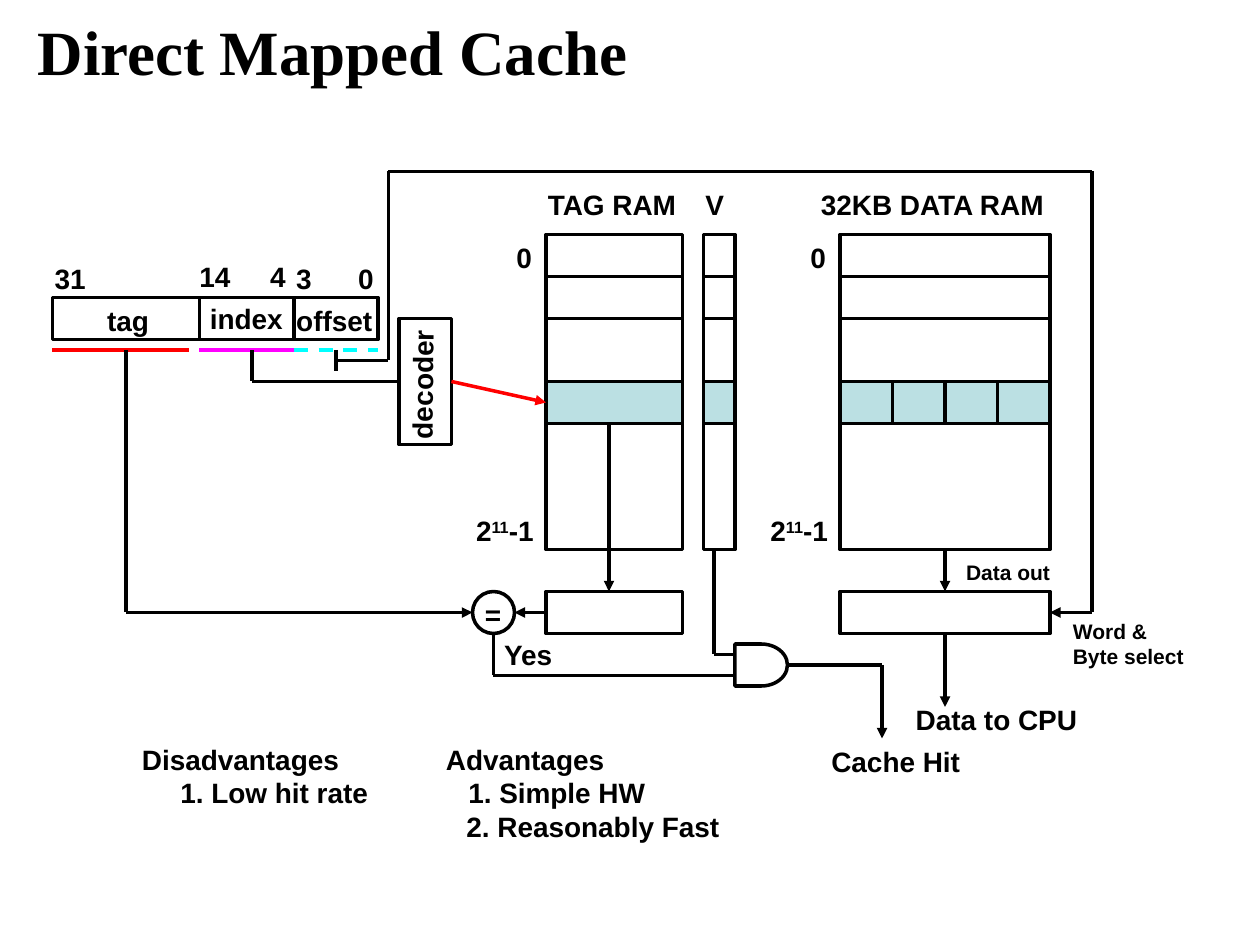
from pptx import Presentation
from pptx.dml.color import RGBColor
from pptx.enum.dml import MSO_LINE
from pptx.enum.shapes import MSO_CONNECTOR, MSO_SHAPE
from pptx.enum.text import MSO_ANCHOR
from pptx.oxml.ns import qn
from pptx.util import Pt
from lxml.etree import SubElement

COLORS = {
    "black": "000000",
    "selected": "BBE0E3",
    "tag": "FF0000",
    "index": "FF00FF",
    "offset": "00FFFF",
}
LINE_WIDTH = 2
TOP, LEFT, BOTTOM, RIGHT = range(4)


def color(name):
    return RGBColor.from_string(COLORS[name])


def add_line(start, end, line_color="black", arrow=False):
    line = slide.shapes.add_connector(
        MSO_CONNECTOR.STRAIGHT, *(Pt(value) for value in (*start, *end)))
    line.line.color.rgb = color(line_color)
    line.line.width = Pt(LINE_WIDTH)
    properties = line._element.spPr
    if arrow:
        SubElement(properties.find(qn("a:ln")), qn("a:tailEnd"), type="triangle")
    SubElement(properties, qn("a:effectLst"))
    return line


presentation = Presentation()
presentation.slide_width = Pt(720)
presentation.slide_height = Pt(540)
slide = presentation.slides.add_slide(presentation.slide_layouts[6])

# Memories, registers and logic: preset, left, top, width, height, fill
boxes = {
    "data ram": (MSO_SHAPE.RECTANGLE, 480, 134, 120, 180, None),
    "data row": (MSO_SHAPE.RECTANGLE, 480, 158, 120, 24, None),
    "data selected": (MSO_SHAPE.RECTANGLE, 480, 218, 120, 24, "selected"),
    "data register": (MSO_SHAPE.RECTANGLE, 480, 338, 120, 24, None),
    "tag ram": (MSO_SHAPE.RECTANGLE, 312, 134, 78, 180, None),
    "tag row": (MSO_SHAPE.RECTANGLE, 312, 158, 78, 24, None),
    "tag selected": (MSO_SHAPE.RECTANGLE, 312, 218, 78, 24, "selected"),
    "tag register": (MSO_SHAPE.RECTANGLE, 312, 338, 78, 24, None),
    "valid bits": (MSO_SHAPE.RECTANGLE, 402, 134, 18, 180, None),
    "valid selected": (MSO_SHAPE.RECTANGLE, 402, 218, 18, 24, "selected"),
    "address": (MSO_SHAPE.RECTANGLE, 30, 170, 186, 24, None),
    "decoder": (MSO_SHAPE.RECTANGLE, 228, 182, 30, 72, None),
    "comparator": (MSO_SHAPE.OVAL, 270, 338, 24, 24, None),
    "and gate": (MSO_SHAPE.FLOWCHART_DELAY, 420, 368, 30, 24, None),
}
parts = {}
for name, (preset, left, top, width, height, fill) in boxes.items():
    shape = slide.shapes.add_shape(preset, Pt(left), Pt(top), Pt(width), Pt(height))
    shape.shadow.inherit = False
    if fill:
        shape.fill.solid()
        shape.fill.fore_color.rgb = color(fill)
    else:
        shape.fill.background()
    shape.line.color.rgb = color("black")
    shape.line.width = Pt(LINE_WIDTH)
    parts[name] = shape

# Dividers of the address, the valid bits and the selected data row
for x in (114, 168):
    add_line((x, 170), (x, 194))
for y in (158, 182):
    add_line((402, y), (420, y))
for x in (510, 540, 570):
    divider = add_line((x, 218), (x, 242))
    if x == 540:
        divider.begin_connect(parts["data selected"], TOP)
        divider.end_connect(parts["data selected"], BOTTOM)

# Coloured underlines of the address fields
for field, start, end in (("tag", 30, 108), ("index", 114, 168), ("offset", 168, 216)):
    underline = add_line((start, 200), (end, 200), field)
    if field == "offset":
        underline.line.dash_style = MSO_LINE.DASH

# Wires: points, colour, arrow, joined part and side at the start and the end
wires = [
    ([(144, 200), (144, 218), (228, 218)], "black", False, None, ("decoder", LEFT)),
    ([(258, 218), (312, 230)], "tag", True, ("decoder", RIGHT), ("tag selected", LEFT)),
    ([(348, 242), (348, 338)], "black", True, None, None),
    ([(72, 200), (72, 350), (270, 350)], "black", True, None, None),
    ([(312, 350), (294, 350)], "black", True, ("tag register", LEFT), None),
    ([(282, 362), (282, 386), (420, 386)], "black", False, None, None),
    ([(408, 314), (408, 374), (420, 374)], "black", False, None, None),
    ([(450, 380), (504, 380), (504, 422)], "black", True, None, None),
    ([(540, 314), (540, 338)], "black", True, ("data ram", BOTTOM), ("data register", TOP)),
    ([(540, 362), (540, 404)], "black", True, ("data register", BOTTOM), None),
    ([(192, 200), (192, 212)], "black", False, None, None),
    ([(192, 206), (222, 206), (222, 98), (624, 98), (624, 350), (600, 350)],
     "black", True, None, ("data register", RIGHT)),
]
for points, wire_color, arrow, source, target in wires:
    last = len(points) - 2
    segments = [
        add_line(points[i], points[i + 1], wire_color, arrow and i == last)
        for i in range(last + 1)
    ]
    if source:
        segments[0].begin_connect(parts[source[0]], source[1])
    if target:
        segments[-1].end_connect(parts[target[0]], target[1])

# Texts: wording, left, top, width, height, size, tab stops of each line
labels = [
    ("Direct Mapped Cache", 14.4, 3, 623.5, 51, 36, ()),
    ("32KB DATA RAM", 462, 103.5, 150, 26.5, 16, ()),
    ("TAG RAM", 306, 103.5, 92, 26.5, 16, ()),
    ("V", 396, 103.5, 28, 26.5, 16, ()),
    ("0", 456, 134, 26, 26.5, 16, ()),
    ("0", 288, 134, 26, 26.5, 16, ()),
    ("211-1", 433.2, 290, 52, 26.5, 16, ()),
    ("211-1", 265, 290, 52, 26.5, 16, ()),
    ("31", 24.2, 146, 36, 26.5, 16, ()),
    ("14", 106.8, 144.7, 36, 26.5, 16, ()),
    ("4", 147.2, 144.7, 26, 26.5, 16, ()),
    ("3\t0", 162.2, 146, 70, 26.5, 16, ((35.4,),)),
    ("tag", 54.2, 170, 42, 26.5, 16, ()),
    ("index", 112.8, 168.5, 60, 26.5, 16, ()),
    ("offset", 162.2, 170, 62, 26.5, 16, ()),
    ("decoder", 203, 206.5, 76.3, 26.5, 16, ()),
    ("=", 270, 338, 26, 26.5, 16, ()),
    ("Yes", 281, 361, 46, 26.5, 16, ()),
    ("Data out", 545, 316.5, 70, 21.6, 12, ()),
    ("Word &\nByte select", 606, 349.7, 84, 36, 12, ()),
    ("Data to CPU", 516.2, 398, 112, 26.5, 16, ()),
    ("Cache Hit", 468, 422, 94, 26.5, 16, ()),
    ("Disadvantages\tAdvantages\n\t1. Low hit rate\t1. Simple HW\n\t2. Reasonably Fast",
     74, 420.5, 345, 65, 16, ((173.7,), (22, 186.5), (185.4,))),
]
for text, left, top, width, height, size, tabs in labels:
    box = slide.shapes.add_textbox(Pt(left), Pt(top), Pt(width), Pt(height))
    frame = box.text_frame
    frame.word_wrap = bool(tabs)
    frame.text = text
    is_title = size == 36
    if is_title:
        frame.vertical_anchor = MSO_ANCHOR.MIDDLE
    if text == "decoder":
        box.rotation = 270.5
    for paragraph, stops in zip(frame.paragraphs, tabs):
        tab_list = SubElement(paragraph._p.get_or_add_pPr(), qn("a:tabLst"))
        for stop in stops:
            SubElement(tab_list, qn("a:tab"), pos=str(Pt(stop)), algn="l")
    for paragraph in frame.paragraphs:
        if text == "211-1":
            paragraph.text = "2"
            for piece in ("11", "-1"):
                paragraph.add_run().text = piece
            paragraph.runs[1]._r.get_or_add_rPr().set("baseline", "30000")
        for run in paragraph.runs:
            run.font.name = "Times New Roman" if is_title else "Arial"
            run.font.size = Pt(size)
            run.font.bold = True
            run.font.color.rgb = color("black")

presentation.save("out.pptx")
